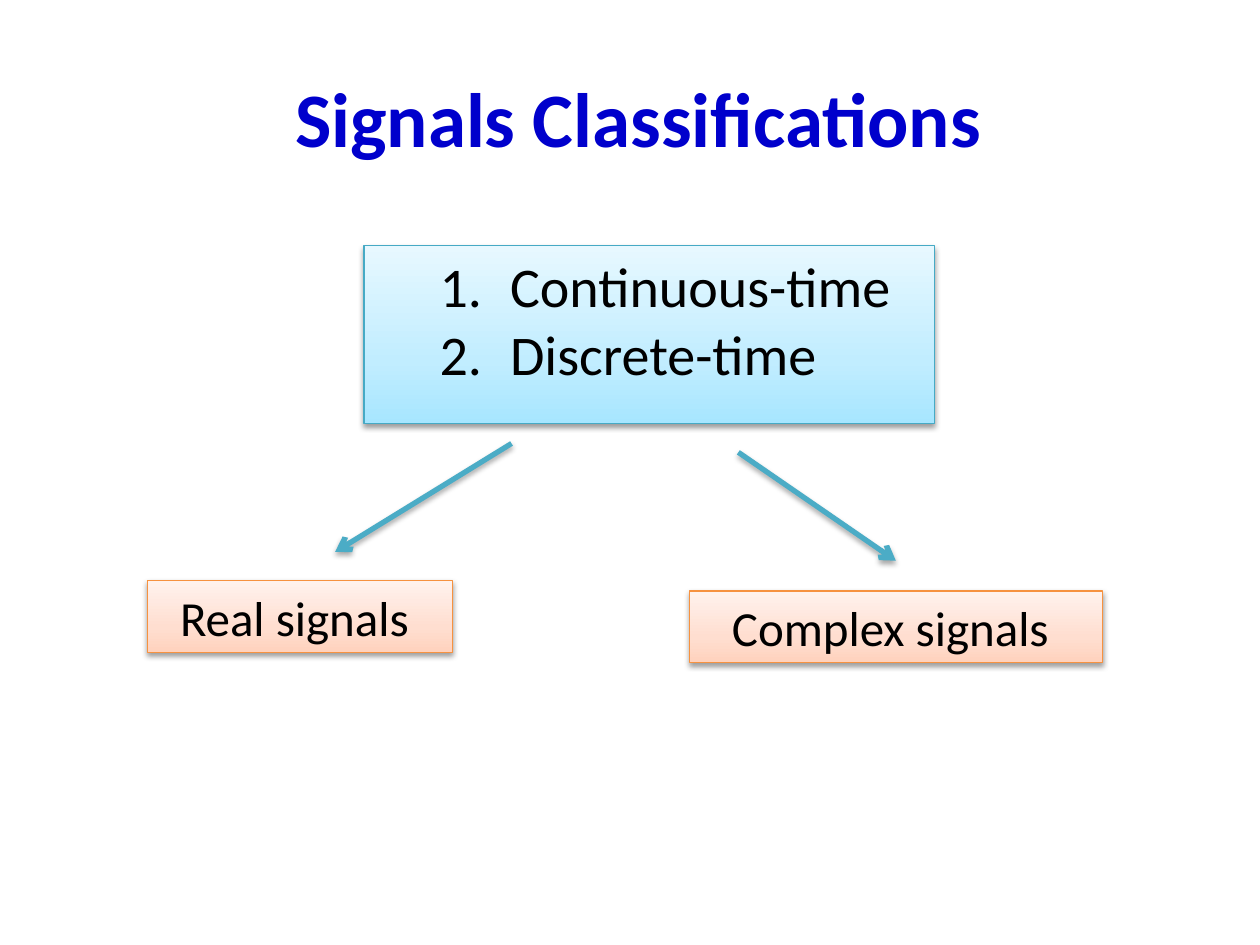
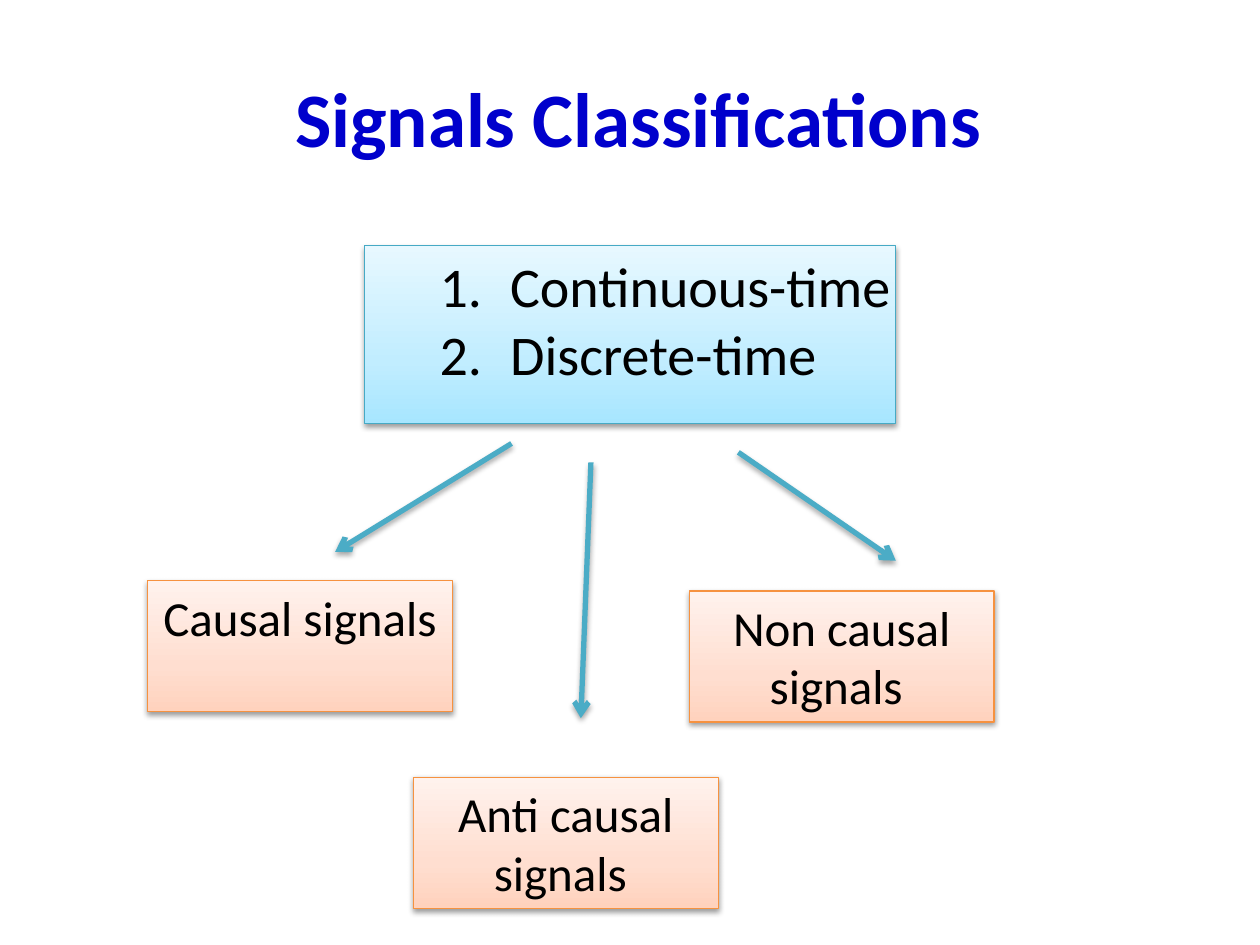
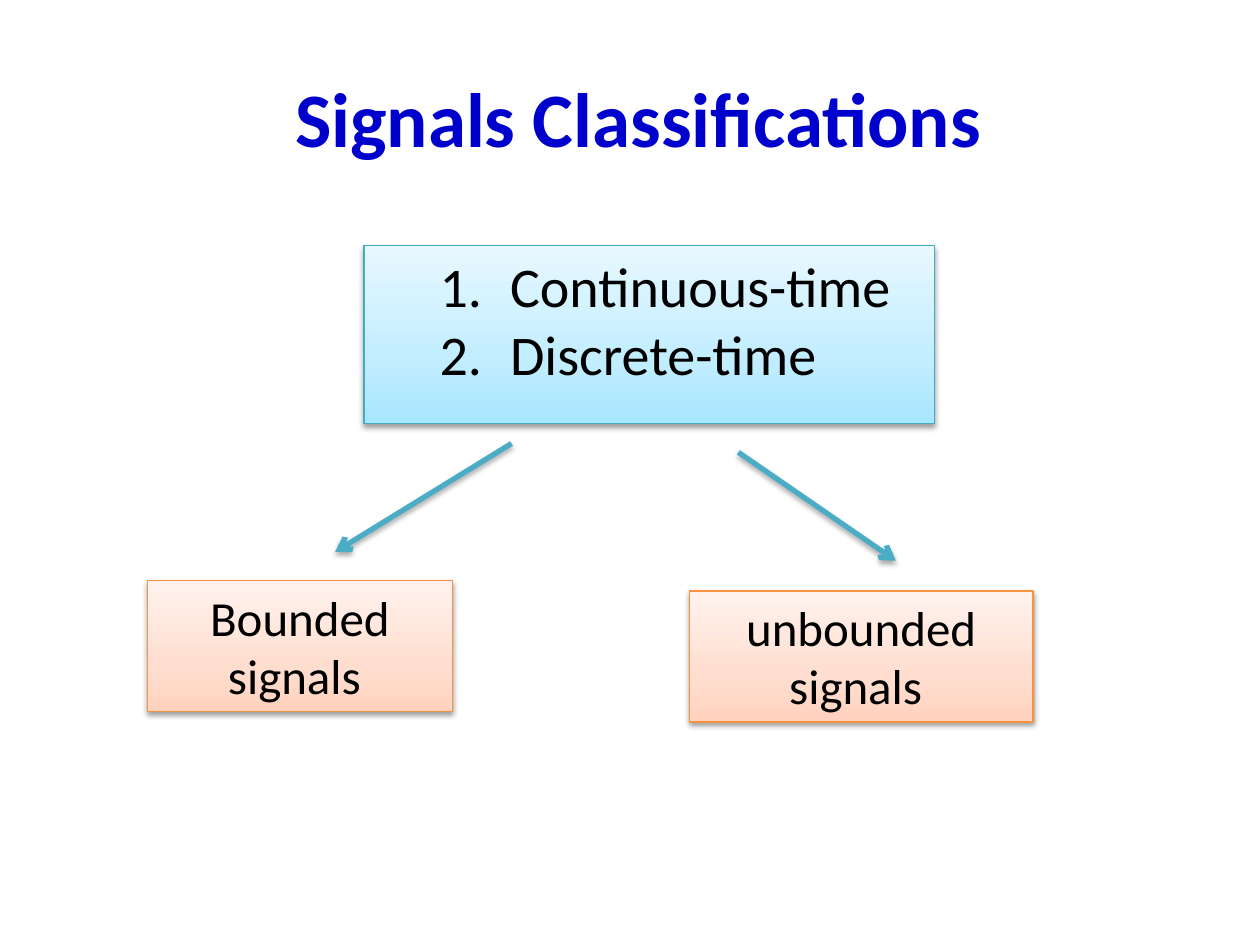
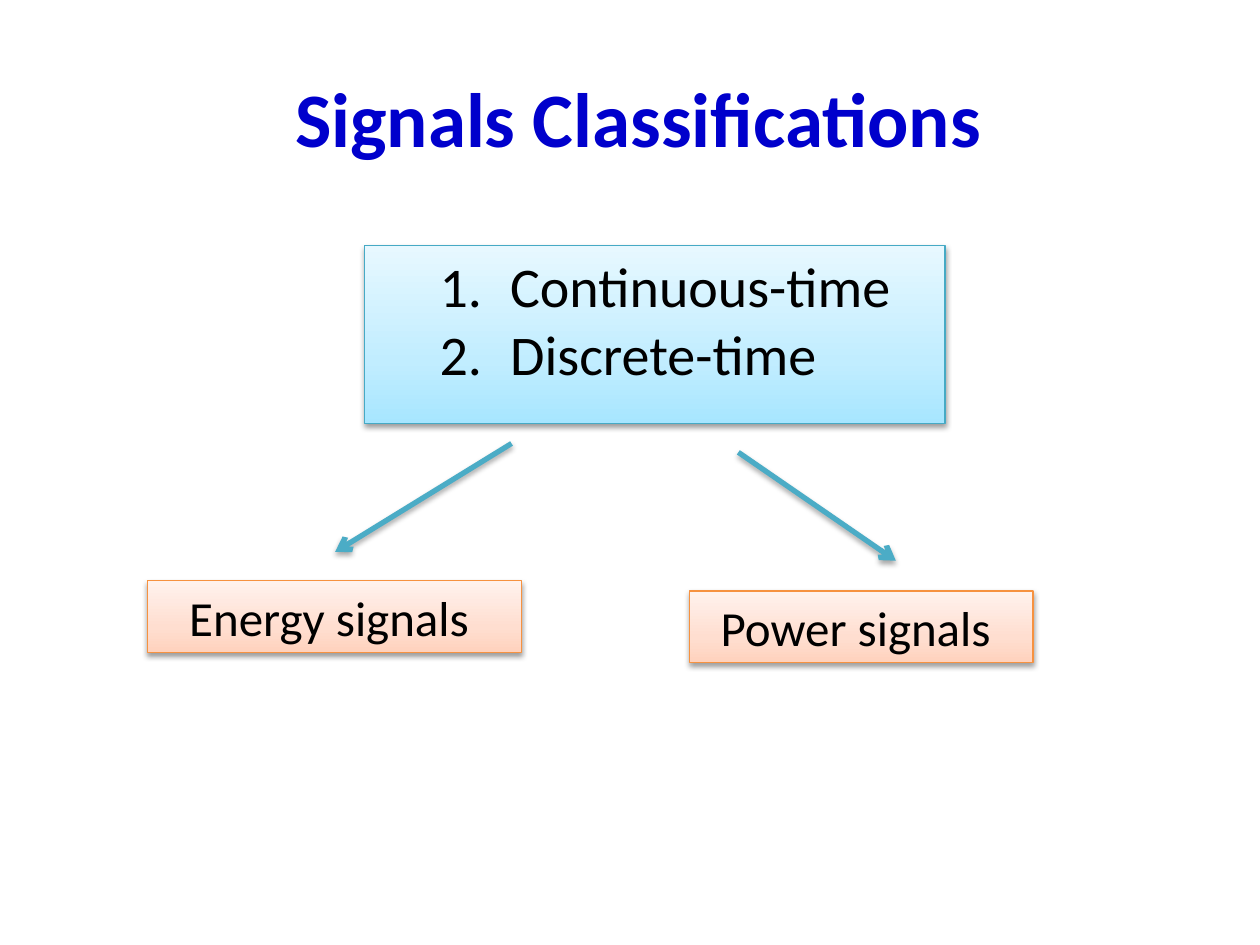
from dataclasses import dataclass
from typing import Any, NamedTuple

from lxml.etree import SubElement
from pptx import Presentation
from pptx.dml.color import RGBColor
from pptx.enum.shapes import MSO_CONNECTOR, MSO_SHAPE
from pptx.enum.text import MSO_ANCHOR, MSO_AUTO_SIZE, PP_ALIGN
from pptx.oxml.ns import qn
from pptx.util import Emu, Pt

PX = 9144


def px(length: int) -> Emu:
    return Emu(length * PX)


class Shadow(NamedTuple):
    distance: int
    opacity: int


class BoxStyle(NamedTuple):
    stops: tuple[tuple[int, str], ...]
    outline: str
    size: int


@dataclass(frozen=True)
class Theme:
    font: str = "Calibri"
    title_color: str = "0000CC"
    text_color: str = "000000"
    arrow_color: str = "4BACC6"
    title_size: int = 44
    arrow_width: float = 3
    outline_width: float = 0.75
    shadow_blur: int = 40000
    box_shadow: Shadow = Shadow(20000, 38000)
    arrow_shadow: Shadow = Shadow(23000, 35000)
    domain: BoxStyle = BoxStyle(
        ((0, "A7E6FF"), (35, "C1EDFF"), (100, "E7F8FF")), "46AAC5", 32)
    category: BoxStyle = BoxStyle(
        ((0, "FFD2BD"), (35, "FFDED0"), (100, "FFF2ED")), "F69240", 28)


class Box(NamedTuple):
    left: int
    top: int
    width: int
    height: int


class Arrow(NamedTuple):
    start_x: int
    start_y: int
    end_x: int
    end_y: int


class Category(NamedTuple):
    text: str
    box: Box


class Page(NamedTuple):
    domain_width: int
    categories: tuple[Category, ...]
    arrows: tuple[Arrow, ...]


THEME = Theme()
TITLE = " Signals Classifications"
TITLE_BOX = Box(50, 30, 900, 125)
DOMAINS = ("Continuous-time", "Discrete-time")
DOMAIN_LEFT, DOMAIN_TOP, DOMAIN_HEIGHT = 289, 195, 141
LIST_MARGIN, LIST_INDENT = 106, -56
ONE_LINE, TWO_LINES = 57, 104
SIDE_ARROWS = (Arrow(586, 359, 711, 445), Arrow(406, 352, 266, 438))
MIDDLE_ARROW = Arrow(469, 367, 461, 570)


def left_category(text: str, width: int, height: int) -> Category:
    return Category(text, Box(117, 461, width, height))


def right_category(text: str, width: int, height: int) -> Category:
    return Category(text, Box(547, 469, width, height))


PAGES = (
    Page(453, (left_category("Real signals ", 242, ONE_LINE),
               right_category("Complex signals ", 328, ONE_LINE)), SIDE_ARROWS),
    Page(422, (left_category("Causal signals ", 242, TWO_LINES),
               right_category("Non causal signals ", 242, TWO_LINES),
               Category("Anti causal signals ", Box(328, 617, 242, TWO_LINES))),
         (*SIDE_ARROWS, MIDDLE_ARROW)),
    Page(453, (left_category("Bounded signals ", 242, TWO_LINES),
               right_category("unbounded signals ", 273, TWO_LINES)), SIDE_ARROWS),
    Page(461, (left_category("Energy signals ", 297, ONE_LINE),
               right_category("Power signals ", 273, ONE_LINE)), SIDE_ARROWS),
)


def set_format(target: Any, values: dict[str, Any]) -> None:
    for name, value in values.items():
        setattr(target, name, value)


def write(para: Any, text: str, size: int, color: str, align: PP_ALIGN,
          bold: bool = False) -> None:
    para.alignment = align
    span = para.add_run()
    span.text = text
    set_format(span.font, {"name": THEME.font, "size": Pt(size), "bold": bold})
    span.font.color.rgb = RGBColor.from_string(color)


def add_color(parent: Any, color: str) -> Any:
    return SubElement(parent, qn("a:srgbClr"), val=color)


def set_line(shape: Any, color: str, width: float) -> None:
    shape.line.color.rgb = RGBColor.from_string(color)
    shape.line.width = Pt(width)


def add_shadow(shape: Any, shadow: Shadow) -> None:
    effects = SubElement(shape._element.spPr, qn("a:effectLst"))
    outer = SubElement(effects, qn("a:outerShdw"), blurRad=str(THEME.shadow_blur),
                       dist=str(shadow.distance), dir="5400000", rotWithShape="0")
    color = add_color(outer, "000000")
    SubElement(color, qn("a:alpha"), val=str(shadow.opacity))


def fill_gradient(shape: Any, stops: tuple[tuple[int, str], ...]) -> None:
    shape.fill.gradient()
    shape.fill.gradient_angle = 90
    stop_list = shape._element.spPr.find(".//" + qn("a:gsLst"))
    for stop in list(stop_list):
        stop_list.remove(stop)
    for position, color in stops:
        stop = SubElement(stop_list, qn("a:gs"), pos=str(position * 1000))
        add_color(stop, color)


def add_box(page: Any, box: Box, style: BoxStyle) -> Any:
    shape = page.shapes.add_shape(MSO_SHAPE.RECTANGLE, *map(px, box))
    fill_gradient(shape, style.stops)
    set_line(shape, style.outline, THEME.outline_width)
    add_shadow(shape, THEME.box_shadow)
    shape.text_frame.vertical_anchor = MSO_ANCHOR.TOP
    return shape


def add_category(page: Any, category: Category) -> None:
    style = THEME.category
    frame = add_box(page, category.box, style).text_frame
    set_format(frame, {"word_wrap": True,
                       "auto_size": MSO_AUTO_SIZE.SHAPE_TO_FIT_TEXT})
    write(frame.paragraphs[0], category.text, style.size, THEME.text_color,
          PP_ALIGN.CENTER)


def add_domains(page: Any, width: int) -> None:
    style = THEME.domain
    box = Box(DOMAIN_LEFT, DOMAIN_TOP, width, DOMAIN_HEIGHT)
    frame = add_box(page, box, style).text_frame
    frame.word_wrap = False
    for index, text in enumerate(DOMAINS):
        para = frame.add_paragraph() if index else frame.paragraphs[0]
        para.level = 1
        write(para, text, style.size, THEME.text_color, PP_ALIGN.LEFT)
        properties = para._p.get_or_add_pPr()
        properties.set("marL", str(px(LIST_MARGIN)))
        properties.set("indent", str(px(LIST_INDENT)))
        SubElement(properties, qn("a:buFont"), typeface=THEME.font)
        SubElement(properties, qn("a:buAutoNum"), type="arabicPeriod")


def add_arrow(page: Any, arrow: Arrow) -> None:
    line = page.shapes.add_connector(MSO_CONNECTOR.STRAIGHT, *map(px, arrow))
    set_line(line, THEME.arrow_color, THEME.arrow_width)
    SubElement(line.line._get_or_add_ln(), qn("a:tailEnd"), type="arrow")
    add_shadow(line, THEME.arrow_shadow)


def add_title(page: Any) -> None:
    title = page.shapes.title
    set_format(title, dict(zip(Box._fields, map(px, TITLE_BOX))))
    frame = title.text_frame
    frame.vertical_anchor = MSO_ANCHOR.MIDDLE
    write(frame.paragraphs[0], TITLE, THEME.title_size, THEME.title_color,
          PP_ALIGN.CENTER, bold=True)


def main() -> None:
    deck = Presentation()
    set_format(deck, {"slide_width": px(1000), "slide_height": px(750)})
    title_only = deck.slide_layouts[5]
    for content in PAGES:
        page = deck.slides.add_slide(title_only)
        add_title(page)
        for arrow in content.arrows:
            add_arrow(page, arrow)
        for category in content.categories:
            add_category(page, category)
        add_domains(page, content.domain_width)
    deck.save("out.pptx")


if __name__ == "__main__":
    main()
